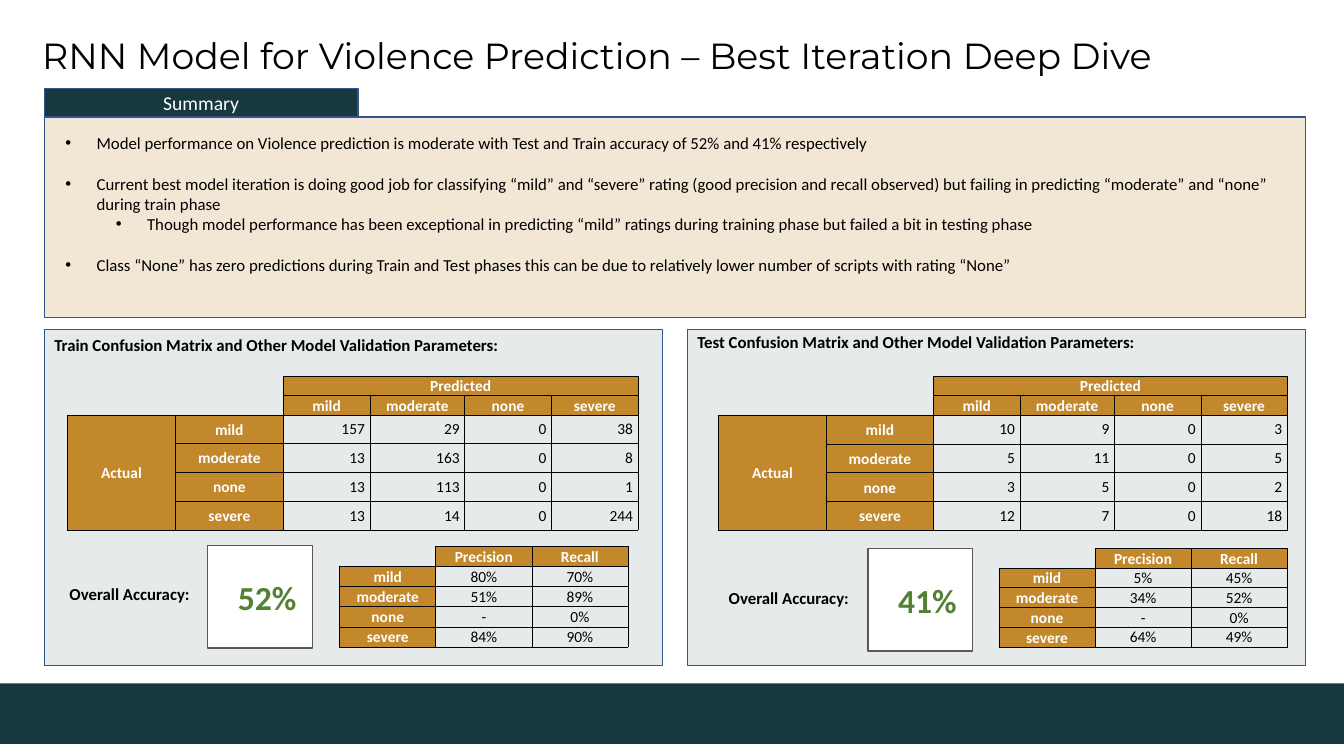
import pptx
import pptx.dml.color
import pptx.enum.shapes
import pptx.enum.text
import pptx.oxml.ns
import pptx.util
from lxml import etree

ALIGN = pptx.enum.text.PP_ALIGN
ANCHOR = pptx.enum.text.MSO_ANCHOR
COLORS = {
    "teal": "17393D", "gold": "C2882B", "outline": "325491", "grey": "595959",
    "green": "548235", "black": "000000", "white": "FFFFFF",
}
PLAIN_TABLE_STYLE = "{2D5ABB26-0587-4C30-8999-92F81FD0307C}"
RATINGS = ["mild", "moderate", "none", "severe"]


def color(name):
    return pptx.dml.color.RGBColor.from_string(COLORS[name])


def child(parent, tag, **attributes):
    return etree.SubElement(parent, pptx.oxml.ns.qn(tag), **attributes)


class SlideBuilder:
    """Draws on one slide; every box is (left, top, width, height) in percent of the slide."""

    def __init__(self, presentation, font="Calibri"):
        self.presentation = presentation
        self.slide = presentation.slides.add_slide(presentation.slide_layouts[6])
        self.font = font

    def across(self, share):
        return round(self.presentation.slide_width * share / 100)

    def down(self, share):
        return round(self.presentation.slide_height * share / 100)

    def place(self, box):
        left, top, width, height = box
        return self.across(left), self.down(top), self.across(width), self.down(height)

    def add_text_run(self, paragraph, text, size, tint="black", bold=False, font=None):
        run = paragraph.add_run()
        run.text = text
        run.font.size = pptx.util.Pt(size)
        run.font.name = font or self.font
        run.font.bold = bold
        run.font.color.rgb = color(tint)

    def rectangle(self, box, fill, line=None, opacity=100):
        shape = self.slide.shapes.add_shape(
            pptx.enum.shapes.MSO_SHAPE.RECTANGLE, *self.place(box))
        shape.shadow.inherit = False
        shape.fill.solid()
        shape.fill.fore_color.rgb = color(fill)
        if opacity < 100:
            tint = shape._element.spPr.find(".//" + pptx.oxml.ns.qn("a:srgbClr"))
            child(tint, "a:alpha", val=str(opacity * 1000))
        if line:
            shape.line.color.rgb = color(line)
            shape.line.width = pptx.util.Pt(1)
        else:
            shape.line.fill.background()
        return shape

    def text(self, box, text, size=12, bold=False, font=None, anchor=ANCHOR.TOP):
        shape = self.slide.shapes.add_textbox(*self.place(box))
        frame = shape.text_frame
        frame.word_wrap = True
        frame.vertical_anchor = anchor
        self.add_text_run(frame.paragraphs[0], text, size, bold=bold, font=font)
        return frame

    def label(self, shape, text, size, tint, bold=False, align=ALIGN.CENTER, indent=0.75):
        """Puts one vertically centred line inside a shape."""
        frame = shape.text_frame
        frame.vertical_anchor = ANCHOR.MIDDLE
        frame.margin_left = self.across(indent)
        frame.margin_right = 0 if align == ALIGN.LEFT else frame.margin_left
        frame.paragraphs[0].alignment = align
        self.add_text_run(frame.paragraphs[0], text, size, tint, bold)

    def bullets(self, box, items, size=12):
        """Items are (level, text, gap before in points)."""
        frame = self.slide.shapes.add_textbox(*self.place(box)).text_frame
        frame.word_wrap = True
        for index, (level, text, gap) in enumerate(items):
            paragraph = frame.add_paragraph() if index else frame.paragraphs[0]
            paragraph.level = level
            if gap:
                paragraph.space_before = pptx.util.Pt(gap)
            hang = pptx.util.Inches(0.31)
            properties = paragraph._p.get_or_add_pPr()
            properties.set("marL", str(hang + level * pptx.util.Inches(0.5)))
            properties.set("indent", str(-hang))
            child(properties, "a:buFont", typeface="Arial")
            child(properties, "a:buChar", char="•")
            self.add_text_run(paragraph, text, size)

    def border(self, cell):
        properties = cell._tc.get_or_add_tcPr()
        for position, side in enumerate(("a:lnL", "a:lnR", "a:lnT", "a:lnB")):
            line = etree.Element(pptx.oxml.ns.qn(side), w="6350")
            child(child(line, "a:solidFill"), "a:srgbClr", val=COLORS["black"])
            properties.insert(position, line)

    def table(self, box, rows, column_weights, row_weights, head_columns, head_rows,
              merges=(), value_align=ALIGN.CENTER, value_margin=0.01):
        """Draws a grid of text; None leaves a cell without border or fill."""
        table = self.slide.shapes.add_table(
            len(rows), len(column_weights), *self.place(box)).table
        table.first_row = table.horz_banding = False
        style = table._tbl.tblPr.find(pptx.oxml.ns.qn("a:tableStyleId"))
        style.text = PLAIN_TABLE_STYLE
        for column, weight in zip(table.columns, column_weights):
            column.width = round(self.across(box[2]) * weight / sum(column_weights))
        for row, weight in zip(table.rows, row_weights):
            row.height = round(self.down(box[3]) * weight / sum(row_weights))
        for first, last in merges:
            table.cell(*first).merge(table.cell(*last))
        for row_index, row in enumerate(rows):
            for column_index, text in enumerate(row):
                heading = row_index < head_rows or column_index < head_columns
                self.fill_cell(table.cell(row_index, column_index), text, heading,
                               value_align, value_margin)

    def fill_cell(self, cell, text, heading, value_align, value_margin):
        margin = pptx.util.Inches(0.01 if heading else value_margin)
        cell.margin_left = cell.margin_right = cell.margin_top = margin
        cell.margin_bottom = 0 if value_margin == 0.01 or heading else margin
        cell.vertical_anchor = ANCHOR.MIDDLE if heading else ANCHOR.BOTTOM
        paragraph = cell.text_frame.paragraphs[0]
        paragraph.alignment = ALIGN.CENTER if heading else value_align
        if text:
            self.add_text_run(paragraph, text, 11, "white" if heading else "black", heading)
        else:
            child(paragraph._p, "a:endParaRPr", sz="1100")
        if heading and text is not None:
            cell.fill.solid()
            cell.fill.fore_color.rgb = color("gold")
        else:
            cell.fill.background()
        if text is not None:
            self.border(cell)

    def confusion_matrix(self, box, counts):
        rows = [[None, None, "Predicted", "", "", ""], [None, None, *RATINGS]]
        for index, (rating, values) in enumerate(zip(RATINGS, counts)):
            rows.append(["" if index else "Actual", rating, *map(str, values)])
        self.table(box, rows, [1.07, 1.07, 0.86, 0.94, 0.86, 0.86], [2, 2, 3, 3, 3, 3],
                   2, 2, [((0, 2), (0, 5)), ((2, 0), (5, 0))], ALIGN.RIGHT, 0.05)

    def score_table(self, box, scores):
        rows = [[None, "Precision", "Recall"]]
        rows += [[rating, *values] for rating, values in zip(RATINGS, scores)]
        self.table(box, rows, [1] * 3, [1] * 5, 1, 1)

    def accuracy(self, label_box, value_box, value):
        self.text(label_box, "Overall Accuracy:", bold=True)
        square = self.rectangle(value_box, "white", "grey")
        self.label(square, value, 24, "green", True, ALIGN.LEFT, 2.25)


PHASES = [
    dict(name="Train", left=3.3, title_top=43.6, matrix=(5.03, 49.73, 42.45, 20.27),
         counts=[(157, 29, 0, 38), (13, 163, 0, 8), (13, 113, 0, 1), (13, 14, 0, 244)],
         score_box=(25.28, 72.27, 21.45, 13.33),
         scores=[("80%", "70%"), ("51%", "89%"), ("-", "0%"), ("84%", "90%")],
         label_box=(4.43, 76.53, 10.5, 4), value_box=(15.45, 72.13, 7.8, 13.6), value="52%"),
    dict(name="Test", left=51.15, title_top=43.2, matrix=(53.48, 49.73, 42.3, 20.4),
         counts=[(10, 9, 0, 3), (5, 11, 0, 5), (3, 5, 0, 2), (12, 7, 0, 18)],
         score_box=(74.33, 72.53, 21.45, 13.07),
         scores=[("5%", "45%"), ("34%", "52%"), ("-", "0%"), ("64%", "49%")],
         label_box=(53.48, 77.07, 10.5, 4), value_box=(64.58, 72.53, 7.8, 13.6), value="41%"),
]
FINDINGS = [
    (0, "Model performance on Violence prediction is moderate with Test and Train accuracy "
        "of 52% and 41% respectively", 0),
    (0, "Current best model iteration is doing good job for classifying “mild” and “severe” "
        "rating (good precision and recall observed) but failing in predicting “moderate” "
        "and “none” during train phase", 14.6),
    (1, "Though model performance has been exceptional in predicting “mild” ratings during "
        "training phase but failed a bit in testing phase", 0),
    (0, "Class “None” has zero predictions during Train and Test phases this can be due to "
        "relatively lower number of scripts with rating “None”", 14.6),
]


def main():
    presentation = pptx.Presentation()
    presentation.slide_width = pptx.util.Inches(13.33)
    presentation.slide_height = pptx.util.Inches(7.5)
    builder = SlideBuilder(presentation)

    builder.rectangle((0, 90.4, 100, 8), "teal")
    title = builder.text((2.4, 3.07, 94.75, 7.87),
                         "RNN Model for Violence Prediction – Best Iteration Deep Dive",
                         25.9, font="Montserrat", anchor=ANCHOR.BOTTOM)
    title.paragraphs[0].line_spacing = 0.9

    builder.rectangle((3.3, 15.47, 93.85, 26.53), "gold", "outline", 20)
    summary_tab = builder.rectangle((3.3, 11.73, 23.33, 3.73), "teal", "outline")
    builder.label(summary_tab, "Summary", 14, "white")
    builder.bullets((4.13, 16.93, 91.67, 22.93), FINDINGS)

    for phase in PHASES:
        builder.rectangle((phase["left"], 43.6, 46, 44.4), "teal", "outline", 10)
        builder.text((phase["left"], phase["title_top"], 43.43, 4),
                     f"{phase['name']} Confusion Matrix and Other Model Validation Parameters:",
                     bold=True)
        builder.confusion_matrix(phase["matrix"], phase["counts"])
        builder.score_table(phase["score_box"], phase["scores"])
        builder.accuracy(phase["label_box"], phase["value_box"], phase["value"])

    presentation.save("out.pptx")


if __name__ == "__main__":
    main()
